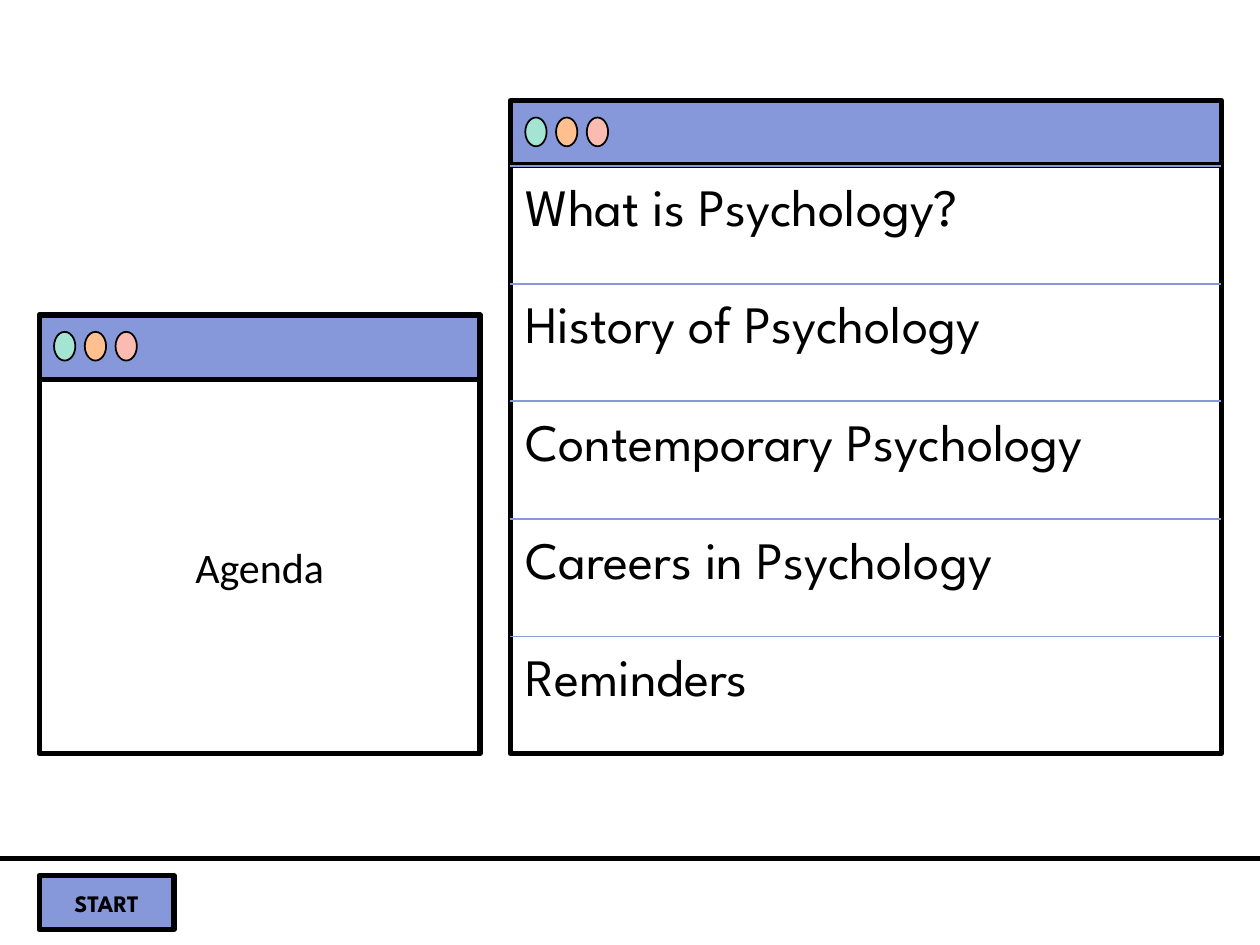
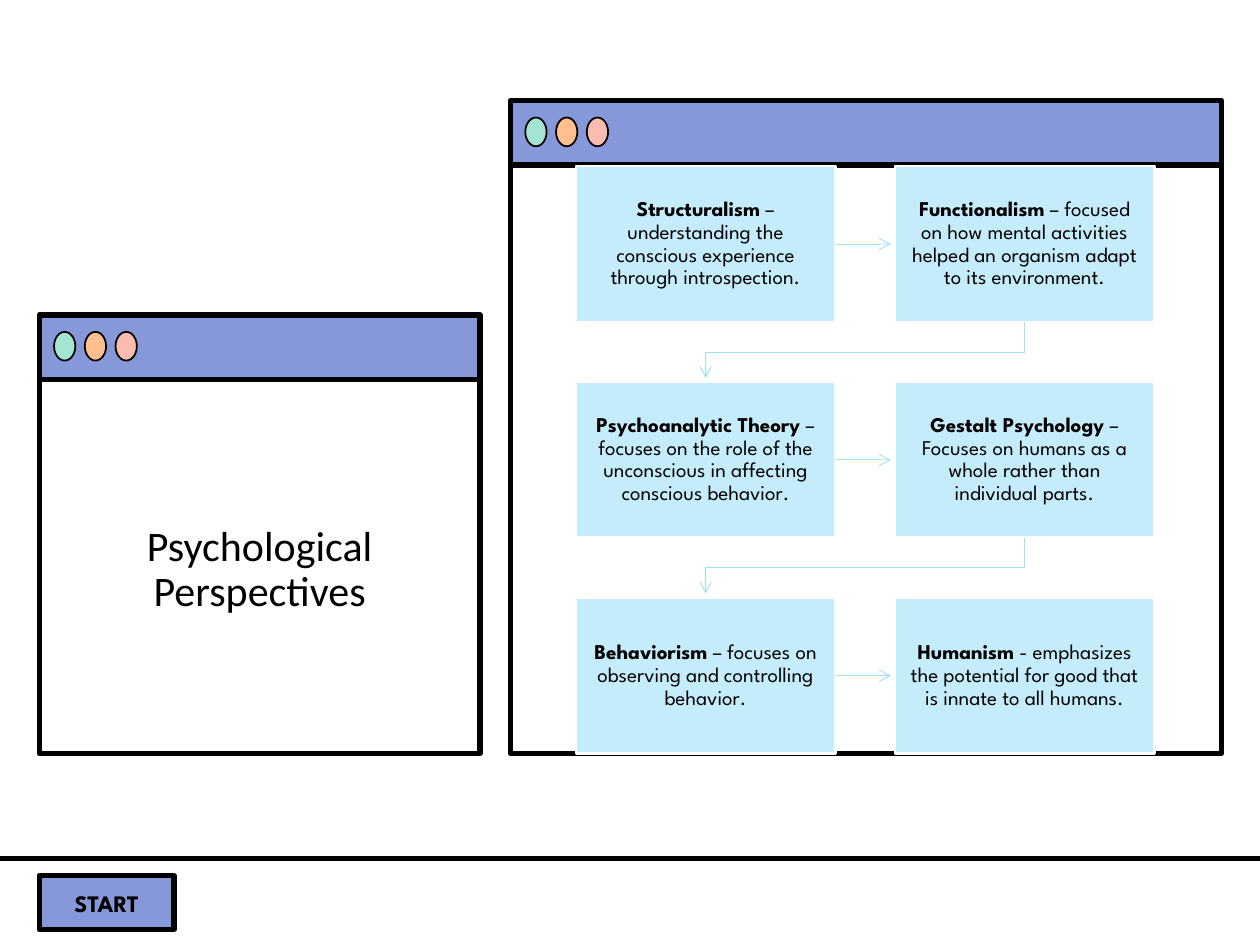
from pptx import Presentation
from pptx.dml.color import RGBColor
from pptx.enum.shapes import MSO_CONNECTOR, MSO_SHAPE
from pptx.enum.text import MSO_ANCHOR, MSO_AUTO_SIZE, PP_ALIGN
from pptx.oxml.ns import qn
from pptx.util import Cm, Pt
from lxml import etree

RECT, OVAL = MSO_SHAPE.RECTANGLE, MSO_SHAPE.OVAL
STRAIGHT = MSO_CONNECTOR.STRAIGHT
CENTER, LEFT = PP_ALIGN.CENTER, PP_ALIGN.LEFT
MIDDLE, TOP = MSO_ANCHOR.MIDDLE, MSO_ANCHOR.TOP
NO_FIT = MSO_AUTO_SIZE.NONE
TITLE_AND_BODY, TITLE_ONLY = 1, 5

COLORS = {
    "ink": "000000",
    "paper": "FFFFFF",
    "bar": "8698DA",
    "mint": "A4E4D2",
    "orange": "FFBF8F",
    "pink": "FABBB0",
    "card": "C5ECFB",
    "arrow": "9EE0F8",
}
TITLE_FONT, TEXT_FONT = "Calibri", "League Spartan"

# Lengths in cm
SLIDE_W, SLIDE_H = 25.4, 19.05
BAR_H = 1.3
WINDOW_BOTTOM = 15.19
TITLE_WINDOW = (0.79, 6.35, 8.89)      # left, top, width
CONTENT_WINDOW = (10.29, 2.03, 14.33)
CONTENT_TOP = 3.35
ROW_H = 2.37
TASKBAR_TOP = 17.3
CARD_LEFT, CARD_W, CARD_H = 11.61, 5.23, 3.14
CARD_STEP_X, CARD_STEP_Y = 6.43, 4.35
ARROW_GAP, ELBOW_DROP = 0.08, 0.61

AGENDA = [
    "What is Psychology?",
    "History of Psychology",
    "Contemporary Psychology",
    "Careers in Psychology",
    "Reminders",
]
PERSPECTIVES = [
    ("Structuralism", " – understanding the conscious experience through introspection."),
    ("Functionalism", " – focused on how mental activities helped an organism adapt "
                      "to its environment."),
    ("Psychoanalytic Theory", " – focuses on the role of the unconscious in affecting "
                              "conscious behavior."),
    ("Gestalt Psychology", " – Focuses on humans as a whole rather than individual parts."),
    ("Behaviorism", " – focuses on observing and controlling behavior."),
    ("Humanism", " - emphasizes the potential for good that is innate to all humans."),
]


# Formatting helpers
def color(name):
    return RGBColor.from_string(COLORS[name])


def apply(target, **values):
    for attribute, value in values.items():
        setattr(target, attribute, value)


def place(shape, left, top, width, height):
    apply(shape, left=Cm(left), top=Cm(top), width=Cm(width), height=Cm(height))


def format_frame(frame, anchor, inset_x=0.25, inset_y=0.13):
    apply(frame, word_wrap=True, auto_size=NO_FIT, vertical_anchor=anchor,
          margin_left=Cm(inset_x), margin_right=Cm(inset_x),
          margin_top=Cm(inset_y), margin_bottom=Cm(inset_y))


def add_run(paragraph, text, font, size, bold=False):
    run = paragraph.add_run()
    run.text = text
    apply(run.font, name=font, size=Pt(size), bold=bold)
    run.font.color.rgb = color("ink")


def set_line(shape, line_color, weight):
    shape.line.color.rgb = color(line_color)
    shape.line.width = Pt(weight)


def add_arrowhead(shape):
    etree.SubElement(shape.line._get_or_add_ln(), qn("a:tailEnd"), type="arrow")


# Elements
def add_box(slide, kind, left, top, width, height, fill, line_color="ink", weight=3):
    box = slide.shapes.add_shape(kind, Cm(left), Cm(top), Cm(width), Cm(height))
    box.shadow.inherit = False
    box.fill.solid()
    box.fill.fore_color.rgb = color(fill)
    set_line(box, line_color, weight)
    return box


def add_line(slide, x1, y1, x2, y2, line_color, weight):
    line = slide.shapes.add_connector(STRAIGHT, Cm(x1), Cm(y1), Cm(x2), Cm(y2))
    set_line(line, line_color, weight)
    etree.SubElement(line._element.spPr, qn("a:effectLst"))
    return line


def add_window(slide, left, top, width):
    body_top = top + BAR_H
    add_box(slide, RECT, left, body_top, width, WINDOW_BOTTOM - body_top, "paper")
    add_box(slide, RECT, left, top, width, BAR_H, "bar")
    for index, dot in enumerate(("mint", "orange", "pink")):
        add_box(slide, OVAL, left + 0.3 + 0.62 * index, top + 0.34, 0.43, 0.58, dot, weight=1)


def add_taskbar(slide):
    add_line(slide, 0, TASKBAR_TOP, SLIDE_W, TASKBAR_TOP, "ink", 3)
    start = add_box(slide, RECT, 0.79, 17.65, 2.72, 1.09, "bar")
    format_frame(start.text_frame, MIDDLE)
    label = start.text_frame.paragraphs[0]
    label.alignment = CENTER
    add_run(label, "START", TEXT_FONT, 13.5, bold=True)


def add_title(slide, text):
    title = slide.shapes.title
    place(title, 0.79, 8.56, 8.89, 5.87)
    format_frame(title.text_frame, MIDDLE)
    heading = title.text_frame.paragraphs[0]
    apply(heading, alignment=CENTER, line_spacing=0.9)
    add_run(heading, text, TITLE_FONT, 24)
    slide.shapes._spTree.append(title._element)  # bring in front of its window


def add_desktop_slide(prs, layout, title):
    slide = prs.slides.add_slide(prs.slide_layouts[layout])
    add_window(slide, *TITLE_WINDOW)
    add_window(slide, *CONTENT_WINDOW)
    add_taskbar(slide)
    add_title(slide, title)
    return slide


def add_agenda(slide, topics):
    left, _, width = CONTENT_WINDOW
    agenda = slide.placeholders[1]
    place(agenda, left, CONTENT_TOP, width, ROW_H * len(topics))
    format_frame(agenda.text_frame, TOP, 0.3, 0.3)
    slide.shapes._spTree.append(agenda._element)
    for index, topic in enumerate(topics):
        rule_y = CONTENT_TOP + ROW_H * index
        add_line(slide, left, rule_y, left + width, rule_y, "bar", 1)
        frame = agenda.text_frame
        item = frame.add_paragraph() if index else frame.paragraphs[0]
        apply(item, alignment=LEFT, line_spacing=0.9, space_before=Pt(0), space_after=Pt(34.8))
        properties = item._p.get_or_add_pPr()
        properties.set("marL", "0")
        properties.set("indent", "0")
        etree.SubElement(properties, qn("a:buNone"))
        add_run(item, topic, TEXT_FONT, 30)


def add_card(slide, left, top, name, description):
    card = add_box(slide, RECT, left, top, CARD_W, CARD_H, "card", "paper", 1.5)
    format_frame(card.text_frame, MIDDLE, 0.25, 0.28)
    summary = card.text_frame.paragraphs[0]
    apply(summary, alignment=CENTER, line_spacing=0.9)
    add_run(summary, name, TEXT_FONT, 12, bold=True)
    add_run(summary, description, TEXT_FONT, 12)


def add_elbow_arrow(slide, points):
    corners = [(Cm(x), Cm(y)) for x, y in points]
    builder = slide.shapes.build_freeform(*corners[0])
    builder.add_line_segments(corners[1:], close=False)
    elbow = builder.convert_to_shape()
    elbow.shadow.inherit = False
    elbow.fill.background()
    set_line(elbow, "arrow", 0.5)
    add_arrowhead(elbow)


def add_perspectives(slide, perspectives):
    for index, (name, description) in enumerate(perspectives):
        row, column = divmod(index, 2)
        left = CARD_LEFT + CARD_STEP_X * column
        top = CONTENT_TOP + CARD_STEP_Y * row
        add_card(slide, left, top, name, description)
        if column == 0:
            middle = top + CARD_H / 2
            add_arrowhead(add_line(slide, left + CARD_W, middle,
                                   left + CARD_STEP_X - ARROW_GAP, middle, "arrow", 0.5))
        elif index < len(perspectives) - 1:
            start_x, bottom = left + CARD_W / 2, top + CARD_H
            end_x, turn_y = start_x - CARD_STEP_X, bottom + ELBOW_DROP
            add_elbow_arrow(slide, [(start_x, bottom), (start_x, turn_y), (end_x, turn_y),
                                    (end_x, top + CARD_STEP_Y - ARROW_GAP)])


def main():
    prs = Presentation()
    apply(prs, slide_width=Cm(SLIDE_W), slide_height=Cm(SLIDE_H))
    add_agenda(add_desktop_slide(prs, TITLE_AND_BODY, "Agenda"), AGENDA)
    add_perspectives(add_desktop_slide(prs, TITLE_ONLY, "Psychological Perspectives"),
                     PERSPECTIVES)
    prs.save("out.pptx")


if __name__ == "__main__":
    main()
